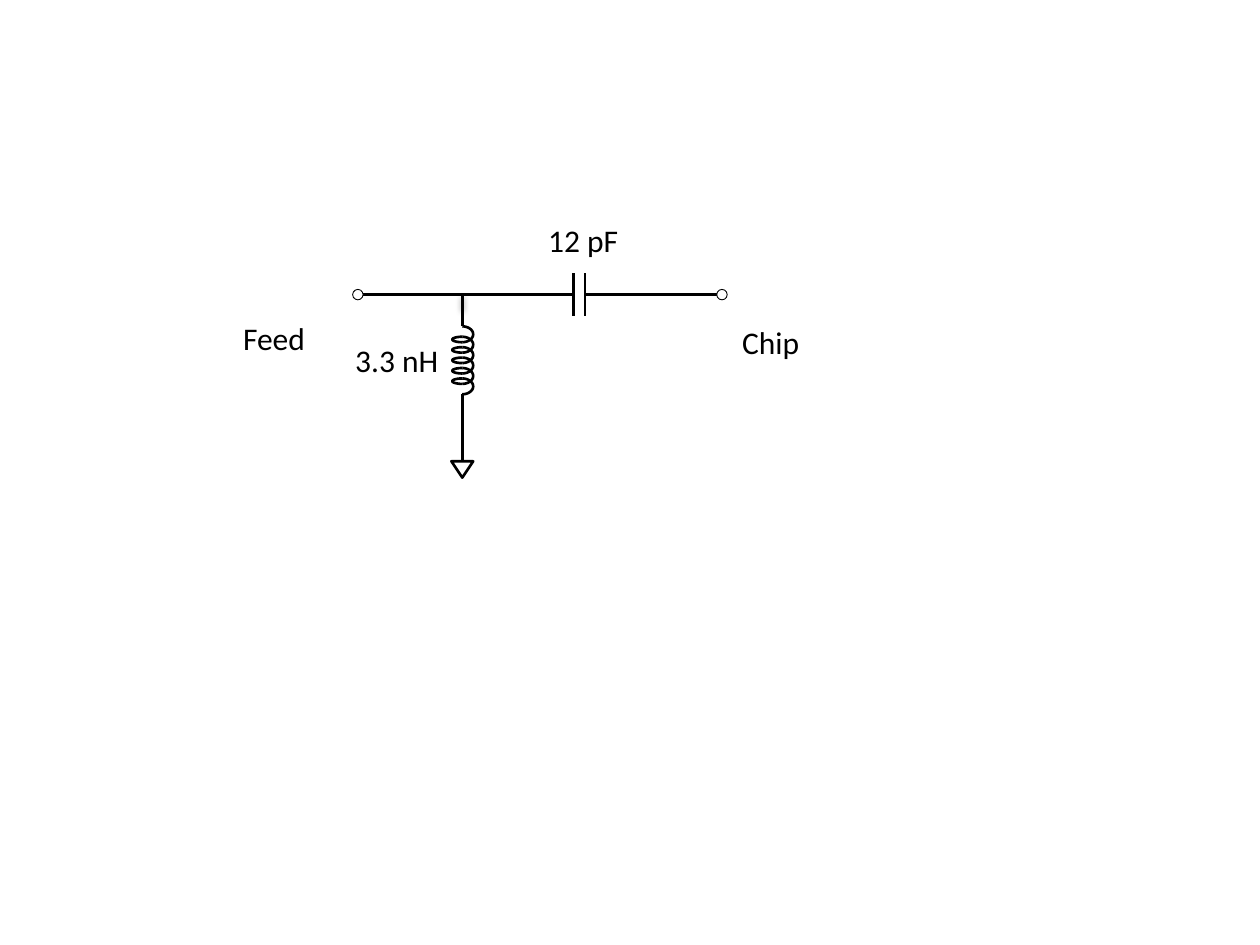
import math
from lxml import etree
from pptx import Presentation, util as u
from pptx.dml.color import RGBColor
from pptx.enum import shapes, text
from pptx.oxml.ns import qn

BLACK, WHITE = "000000", "FFFFFF"
RAIL, BRANCH = 5.94, 9.32
PLATES = (11.56, 11.79)
PLATE_HALF = 0.43
TERMINALS = (7.11, 14.45)
TERMINAL_SIZE = 0.21
COIL = {"top": 6.58, "turns": 6, "pitch": 0.21, "outer": (0.22, 0.16), "inner": 0.2}
GROUND = {"top": 9.3, "tip": 9.63, "half": 0.22}
RAIL_WIRES = [(10.62, PLATES[0]), (PLATES[1], 12.73), (12.73, 14.45), (10.62, 7.32)]
BRANCH_WIRES = [(6.58, 6.22), (8.33, 7.95), (8.76, 9.3), (8.33, 8.76)]
SHADED_WIRE = (6.22, RAIL)
LABELS = [
    ("Feed", 4.65, 6.3, 1.78),
    ("Chip", 14.71, 6.38, 1.68),
    ("3.3 nH", 6.91, 6.76, 2.21),
    ("12 pF", 10.8, 4.34, 1.93),
]
LABEL_HEIGHT = 1.02
FRAME = {"word_wrap": False, "auto_size": text.MSO_AUTO_SIZE.SHAPE_TO_FIT_TEXT}
FONT = {"name": "Calibri", "size": u.Pt(18)}

deck = Presentation()
deck.slide_width, deck.slide_height = u.Cm(25.4), u.Cm(19.05)
slide = deck.slides.add_slide(deck.slide_layouts[6])


def paint(color_format, value):
    color_format.rgb = RGBColor.from_string(value)


def stroke(part, points=1.5):
    part.line.width = u.Pt(points)
    part.line.fill.solid()
    paint(part.line.fill.fore_color, BLACK)


def wire(x1, y1, x2, y2):
    ends = [u.Cm(value) for value in (x1, y1, x2, y2)]
    part = slide.shapes.add_connector(shapes.MSO_CONNECTOR.STRAIGHT, *ends)
    stroke(part)
    return etree.SubElement(part._element.spPr, qn("a:effectLst"))


def outline(points, close=False):
    corners = [(u.Cm(x), u.Cm(y)) for x, y in points]
    builder = slide.shapes.build_freeform(*corners[0])
    builder.add_line_segments(corners[1:], close=close)
    part = builder.convert_to_shape()
    part.shadow.inherit = False
    part.fill.background()
    stroke(part)


def half_turn(top, bottom, reach):
    middle, half = (top + bottom) / 2, (bottom - top) / 2
    angles = [math.pi * step / 24 for step in range(25)]
    outline([(BRANCH + reach * math.sin(a), middle - half * math.cos(a)) for a in angles])


reach, half = COIL["outer"]
for turn in range(COIL["turns"]):
    top = COIL["top"] + turn * COIL["pitch"]
    bottom = top + 2 * half
    half_turn(top, bottom, reach)
    if turn < COIL["turns"] - 1:
        half_turn(top + COIL["pitch"], bottom, -COIL["inner"])

for start, end in RAIL_WIRES:
    wire(start, RAIL, end, RAIL)
for x in PLATES:
    wire(x, RAIL + PLATE_HALF, x, RAIL - PLATE_HALF)
for start, end in BRANCH_WIRES:
    wire(BRANCH, start, BRANCH, end)

effects = wire(BRANCH, SHADED_WIRE[0], BRANCH, SHADED_WIRE[1])
shade = etree.SubElement(effects, qn("a:outerShdw"), blurRad=str(u.Pt(3.1)),
                         dist=str(u.Pt(1.6)), dir="5400000", rotWithShape="0")
tint = etree.SubElement(shade, qn("a:srgbClr"), val=BLACK)
etree.SubElement(tint, qn("a:alpha"), val="38000")

outline([(BRANCH, GROUND["tip"]), (BRANCH + GROUND["half"], GROUND["top"]),
         (BRANCH - GROUND["half"], GROUND["top"])], close=True)

for left in TERMINALS:
    size = u.Cm(TERMINAL_SIZE)
    terminal = slide.shapes.add_shape(
        shapes.MSO_SHAPE.OVAL, u.Cm(left), u.Cm(RAIL - TERMINAL_SIZE / 2), size, size)
    terminal.shadow.inherit = False
    terminal.fill.solid()
    paint(terminal.fill.fore_color, WHITE)
    stroke(terminal, 0.5)

for wording, left, top, width in LABELS:
    label = slide.shapes.add_textbox(u.Cm(left), u.Cm(top), u.Cm(width), u.Cm(LABEL_HEIGHT))
    frame = label.text_frame
    run = frame.paragraphs[0].add_run()
    run.text = wording
    for target, values in ((frame, FRAME), (run.font, FONT)):
        for key, value in values.items():
            setattr(target, key, value)
    paint(run.font.color, BLACK)

deck.save("out.pptx")
